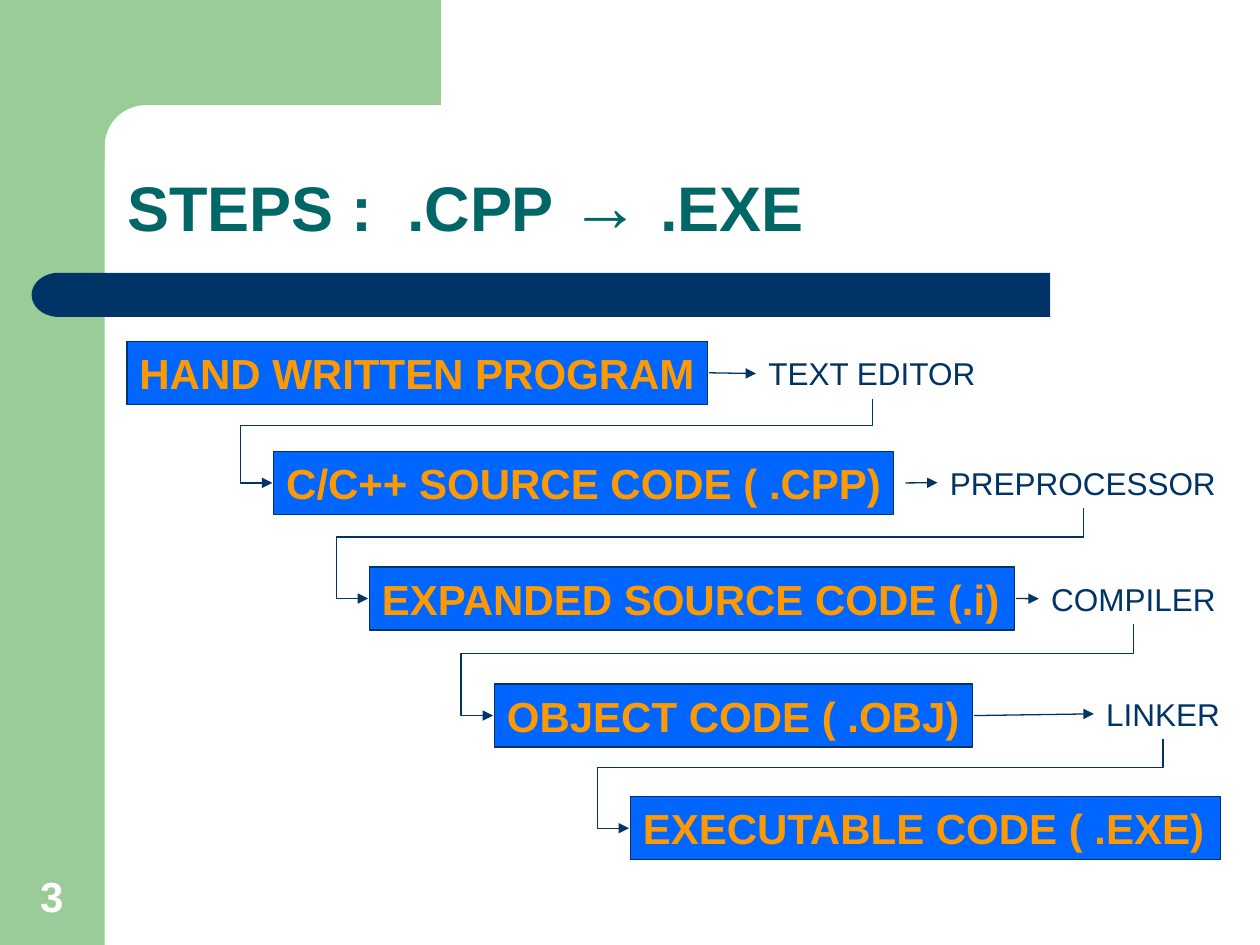
import math
from dataclasses import dataclass
from itertools import pairwise

from lxml import etree
from pptx import Presentation
from pptx.dml.color import RGBColor
from pptx.enum.shapes import MSO_CONNECTOR, MSO_SHAPE
from pptx.enum.text import MSO_ANCHOR, MSO_AUTO_SIZE, PP_ALIGN
from pptx.oxml.ns import qn
from pptx.util import Cm, Pt

RECTANGLE, DELAY = MSO_SHAPE.RECTANGLE, MSO_SHAPE.FLOWCHART_DELAY
STRAIGHT, ELBOW = MSO_CONNECTOR.STRAIGHT, MSO_CONNECTOR.ELBOW
TOP, BOTTOM = MSO_ANCHOR.TOP, MSO_ANCHOR.BOTTOM
LEFT, CENTER = PP_ALIGN.LEFT, PP_ALIGN.CENTER
FIXED = MSO_AUTO_SIZE.NONE

COLORS = {
    "sage": "99CC99",
    "navy": "003366",
    "teal": "006666",
    "blue": "0066FF",
    "orange": "FF9900",
    "white": "FFFFFF",
}
STAGE_HEIGHT = 1.27
TOOL_HEIGHT = 1.02
TIP_GAP = 0.03
OVERSHOOT = 0.64
BEND = 0.32


@dataclass(frozen=True)
class Tool:
    text: str
    left: float
    top: float
    width: float


@dataclass(frozen=True)
class Stage:
    text: str
    left: float
    top: float
    width: float
    tool: Tool | None = None
    gap: float = TIP_GAP

    @property
    def middle(self) -> float:
        return self.top + STAGE_HEIGHT / 2


STAGES = [
    Stage("HAND WRITTEN PROGRAM", 2.56, 6.88, 11.7,
          Tool("TEXT EDITOR", 15.24, 7.02, 4.7)),
    Stage("C/C++ SOURCE CODE ( .CPP)", 5.52, 9.1, 12.5,
          Tool("PREPROCESSOR", 18.9, 9.22, 5.87), gap=0.23),
    Stage("EXPANDED SOURCE CODE (.i)", 7.45, 11.43, 13,
          Tool("COMPILER", 20.94, 11.56, 3.81)),
    Stage("OBJECT CODE ( .OBJ)", 9.97, 13.79, 9.63,
          Tool("LINKER", 22.05, 13.88, 2.79)),
    Stage("EXECUTABLE CODE ( .EXE)", 12.71, 16.06, 11.89),
]


def rgb(name: str) -> RGBColor:
    return RGBColor.from_string(COLORS[name])


def paint(shape, fill: str, outline: str | None = None):
    shape.shadow.inherit = False
    shape.fill.solid()
    shape.fill.fore_color.rgb = rgb(fill)
    if outline:
        shape.line.color.rgb = rgb(outline)
        shape.line.width = Pt(0.75)
    else:
        shape.line.fill.background()
    return shape


def write(shape, text: str, *, size: float, color: str, bold: bool = True,
          anchor=TOP, align=LEFT, right_inset: float = 0,
          spacing: float = 1.0) -> None:
    frame = shape.text_frame
    frame.word_wrap = True
    frame.auto_size = FIXED
    frame.vertical_anchor = anchor
    frame.margin_right = Cm(right_inset)
    paragraph = frame.paragraphs[0]
    paragraph.alignment = align
    paragraph.line_spacing = spacing
    run = paragraph.add_run()
    run.text = text
    run.font.name = "Arial"
    run.font.size = Pt(size)
    run.font.bold = bold
    run.font.color.rgb = rgb(color)


def add_block(slide, kind, left: float, top: float, width: float,
              height: float, fill: str, outline: str | None = None):
    block = slide.shapes.add_shape(kind, Cm(left), Cm(top), Cm(width), Cm(height))
    return paint(block, fill, outline)


def add_textbox(slide, left: float, top: float, width: float, height: float):
    return slide.shapes.add_textbox(Cm(left), Cm(top), Cm(width), Cm(height))


def add_arrow(slide, kind, x1: float, y1: float, x2: float, y2: float):
    arrow = slide.shapes.add_connector(kind, Cm(x1), Cm(y1), Cm(x2), Cm(y2))
    arrow.line.color.rgb = rgb("navy")
    arrow.line.width = Pt(0.75)
    properties = arrow._element.spPr
    etree.SubElement(properties.find(qn("a:ln")), qn("a:tailEnd"), type="triangle")
    etree.SubElement(properties, qn("a:effectLst"))
    return arrow


def add_return_arrow(slide, tool: Tool, following: Stage) -> None:
    start_x, start_y = tool.left + tool.width / 2, tool.top + TOOL_HEIGHT
    end_x, end_y = following.left - TIP_GAP, following.middle
    span, drop = start_x - end_x, end_y - start_y
    left = (start_x + end_x - drop) / 2
    top = (start_y + end_y - span) / 2
    arrow = add_arrow(slide, ELBOW, left, top, left + drop, top + span)
    properties = arrow._element.spPr
    properties.find(qn("a:xfrm")).set("rot", str(90 * 60000))
    geometry = properties.find(qn("a:prstGeom"))
    geometry.set("prst", "bentConnector4")
    guides = geometry.find(qn("a:avLst"))
    for number, ratio in enumerate((BEND, 1 + OVERSHOOT / span), start=1):
        etree.SubElement(guides, qn("a:gd"), name=f"adj{number}",
                         fmla=f"val {round(ratio * 100000)}")


def add_corner(slide) -> None:
    inner_x, inner_y, radius = 2.11, 2.12, 0.83
    angles = [math.radians(degrees) for degrees in range(0, 91, 5)]
    curve = [(inner_x + radius * (1 - math.sin(angle)),
              inner_y + radius * (1 - math.cos(angle))) for angle in angles]
    outline = [(8.89, inner_y), *curve, (inner_x, 3.25), (1.27, 3.25), (1.27, 0)]
    builder = slide.shapes.build_freeform(Cm(8.89), 0)
    builder.add_line_segments([(Cm(x), Cm(y)) for x, y in outline], close=True)
    paint(builder.convert_to_shape(), "sage")


def add_frame(slide) -> None:
    add_block(slide, RECTANGLE, 0, 0, 2.11, 19.05, "sage")
    add_corner(slide)
    add_block(slide, RECTANGLE, 1.7, 5.5, 19.47, 0.89, "navy")
    bar_end = add_block(slide, DELAY, 0.64, 5.5, 1.09, 0.89, "navy")
    bar_end._element.spPr.find(qn("a:xfrm")).set("flipH", "1")
    page_number = add_textbox(slide, 0.23, 17.34, 1.63, 1.35)
    write(page_number, "3", size=24, color="white", anchor=BOTTOM,
          align=CENTER, right_inset=0.25)
    title = add_textbox(slide, 2.32, 2.32, 21.62, 2.77)
    for text, size in (("STEPS :  .CPP ", 36), ("→ ", 40), (".EXE", 36)):
        write(title, text, size=size, color="teal", anchor=BOTTOM, spacing=0.9)


def add_stage(slide, stage: Stage) -> None:
    box = add_block(slide, RECTANGLE, stage.left, stage.top, stage.width,
                    STAGE_HEIGHT, "blue", "navy")
    write(box, stage.text, size=24, color="orange")
    tool = stage.tool
    if tool:
        label = add_textbox(slide, tool.left, tool.top, tool.width, TOOL_HEIGHT)
        write(label, tool.text, size=18, color="navy", bold=False)
        add_arrow(slide, STRAIGHT, stage.left + stage.width + stage.gap,
                  stage.middle, tool.left, tool.top + TOOL_HEIGHT / 2)


def main() -> None:
    deck = Presentation()
    deck.slide_width, deck.slide_height = Cm(25.4), Cm(19.05)
    slide = deck.slides.add_slide(deck.slide_layouts[6])
    add_frame(slide)
    for stage in STAGES:
        add_stage(slide, stage)
    for stage, following in pairwise(STAGES):
        add_return_arrow(slide, stage.tool, following)
    deck.save("out.pptx")


if __name__ == "__main__":
    main()
